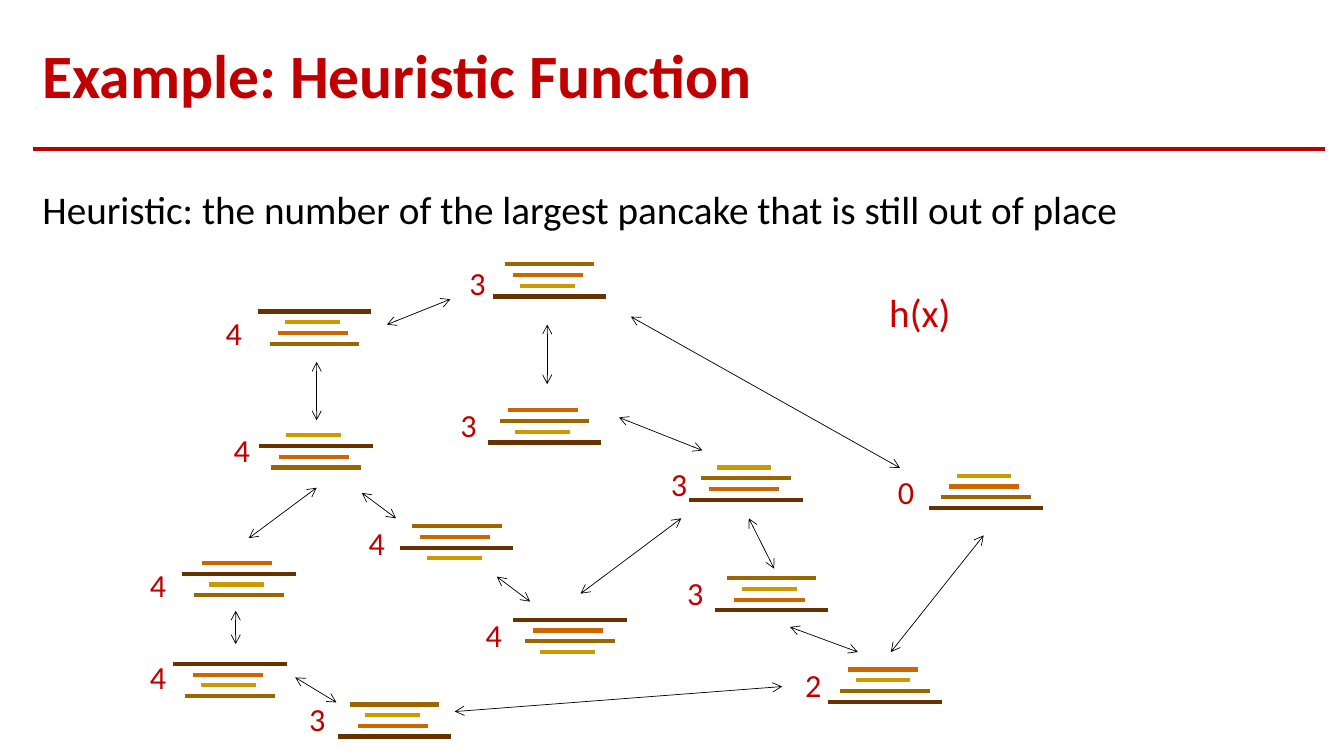
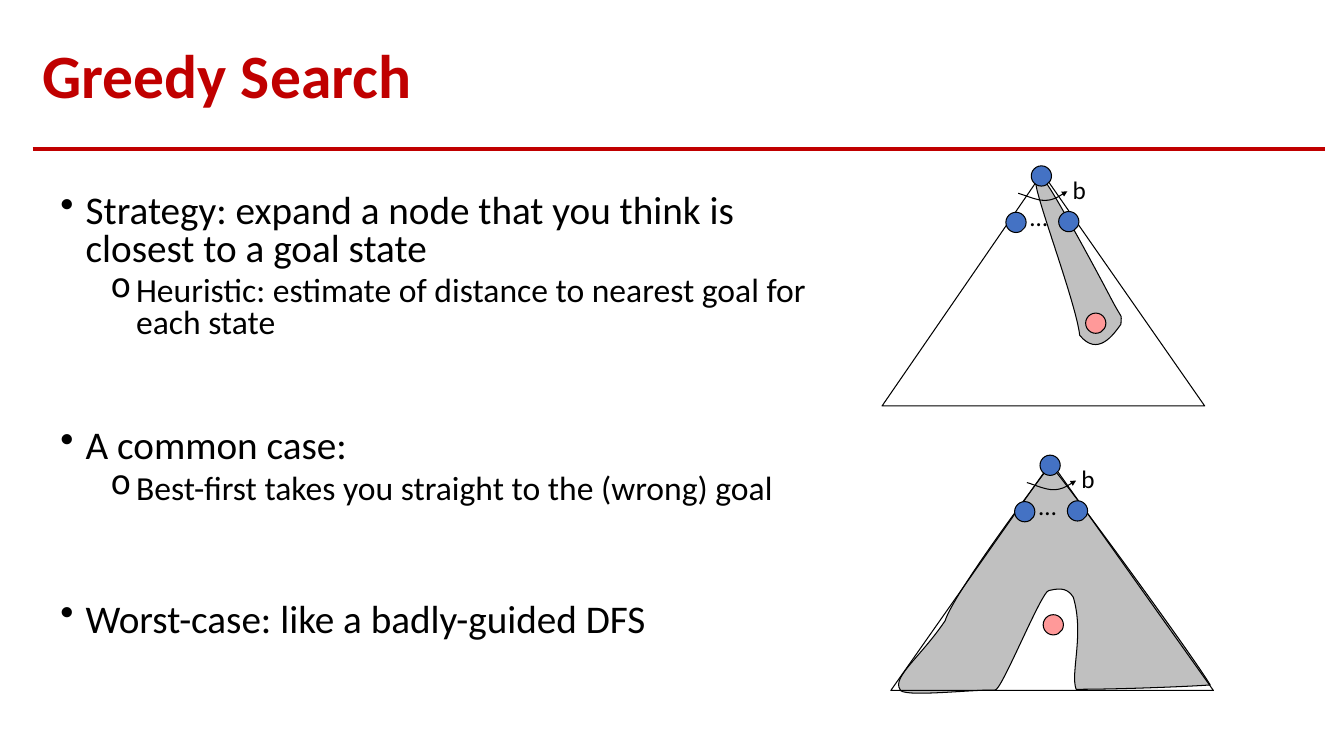
import dataclasses

import lxml.etree
import pptx
import pptx.dml.color
import pptx.enum.shapes
import pptx.enum.text
import pptx.oxml.ns
import pptx.util

FONT = "Calibri"
RED = "C00000"
BLACK = "000000"
GREY = "C0C0C0"
BLUE = "4472C4"
PINK = "FF9999"
LAYER_GAP = 0.27
TREE_WIDTH = 8.13
NODE_SIZE = 0.51

Point = tuple[float, float]


@dataclasses.dataclass(frozen=True)
class Pancake:
    inset: float
    width: float
    color: str


@dataclasses.dataclass(frozen=True)
class Stack:
    left: float
    top: float
    order: str
    heuristic: str
    label: Point


@dataclasses.dataclass(frozen=True)
class Tree:
    left: float
    top: float
    height: float
    goal: Point
    region: list[Point]


@dataclasses.dataclass(frozen=True)
class Bullet:
    text: str
    level: int
    space_before: float


PANCAKES = {
    "1": Pancake(0.69, 1.38, "CC9900"),
    "2": Pancake(0.5, 1.77, "CC6600"),
    "3": Pancake(0.3, 2.26, "996600"),
    "4": Pancake(0, 2.86, "663300"),
}

STACKS = [
    Stack(6.5, 7.85, "4123", "4", (5.44, 7.77)),
    Stack(6.53, 10.97, "1423", "4", (5.64, 10.72)),
    Stack(12.42, 6.66, "3214", "3", (11.58, 6.5)),
    Stack(4.59, 14.19, "2413", "4", (3.53, 14.12)),
    Stack(10.08, 13.26, "3241", "4", (9.04, 13.06)),
    Stack(23.42, 11.99, "1234", "0", (22.38, 11.79)),
    Stack(12.29, 10.34, "2314", "3", (11.35, 10.08)),
    Stack(12.93, 15.62, "4231", "4", (11.99, 15.39)),
    Stack(4.37, 16.73, "4213", "4", (3.53, 16.43)),
    Stack(8.51, 17.75, "3124", "3", (7.54, 17.5)),
    Stack(17.37, 11.78, "1324", "3", (16.66, 11.58)),
    Stack(18.01, 14.57, "3124", "3", (17.07, 14.33)),
    Stack(20.87, 16.87, "2134", "2", (20.04, 16.64)),
]

FLIPS: list[tuple[Point, Point]] = [
    ((11.35, 7.54), (9.75, 8.18)),
    ((7.98, 10.59), (7.98, 9.12)),
    ((6.27, 13.56), (7.98, 12.29)),
    ((9.98, 13.06), (9.12, 12.42)),
    ((5.94, 16.23), (5.94, 15.39)),
    ((8.48, 17.7), (7.44, 17.07)),
    ((19.71, 17.3), (11.46, 17.93)),
    ((13.36, 15.16), (12.52, 14.53)),
    ((17.17, 13.06), (14.63, 14.96)),
    ((15.6, 10.52), (17.7, 11.35)),
    ((13.79, 8.18), (13.79, 9.68)),
    ((22.68, 11.79), (15.9, 7.98)),
    ((18.87, 13.06), (19.51, 14.33)),
    ((19.91, 15.8), (21.62, 16.43)),
    ((22.45, 16.43), (24.79, 13.49)),
]

BRANCH_ARC: list[Point] = [
    (3.43, 0.51), (3.66, 0.58), (3.89, 0.69), (4.09, 0.69),
    (4.32, 0.69), (4.5, 0.56), (4.67, 0.46),
]

TREES = [
    Tree(22.23, 4.36, 5.87, (5.13, 3.53), [
        (4.19, 0.33),
        (4.5, 0.79), (5.49, 2.62), (5.79, 3.2),
        (6.1, 3.78), (6.02, 3.51), (6.02, 3.81),
        (5.84, 4.06), (5.44, 4.65), (4.98, 4.09),
        (4.9, 3.35), (4.01, 0.97), (3.89, 0.36),
        (3.76, -0.28), (3.89, -0.15), (4.19, 0.33),
    ]),
    Tree(22.45, 11.65, 5.75, (3.84, 3.84), [
        (4.17, 0.25),
        (4.88, 1.14), (7.59, 4.85), (8.05, 5.61),
        (7.7, 5.64), (5.89, 5.72), (4.67, 5.72),
        (4.52, 5.31), (4.88, 4.34), (4.6, 3.4),
        (4.47, 3.2), (4.32, 3.15), (3.99, 3.23),
        (3.81, 3.2), (2.77, 5.82), (2.62, 5.74),
        (2.08, 5.72), (0.23, 5.94), (0.23, 5.72),
        (0.03, 5.41), (0.76, 4.9), (1.37, 3.99),
        (1.57, 3.35), (3.4, 0.89), (3.86, 0.28),
        (4.32, -0.33), (4.11, 0.25), (4.17, 0.25),
    ]),
]

BULLETS = [
    Bullet("Strategy: expand a node that you think is closest to a goal state", 0, 10),
    Bullet("Heuristic: estimate of distance to nearest goal for each state", 1, 5),
    Bullet("A common case:", 0, 63),
    Bullet("Best-first takes you straight to the (wrong) goal", 1, 5),
    Bullet("Worst-case: like a badly-guided DFS", 0, 69),
]


def rgb(value: str) -> pptx.dml.color.RGBColor:
    return pptx.dml.color.RGBColor.from_string(value)


def set_line(shape, color: str, width: float) -> None:
    shape.line.color.rgb = rgb(color)
    shape.line.width = pptx.util.Pt(width)


def add_child(parent, tag: str, **attributes: str) -> None:
    lxml.etree.SubElement(parent, pptx.oxml.ns.qn(tag), attributes)


def add_arrowhead(shape, end: str, **attributes: str) -> None:
    outline = shape.element.spPr.find(pptx.oxml.ns.qn("a:ln"))
    add_child(outline, end, **attributes)


def add_line(page, start: Point, end: Point, color: str, width: float, arrows: bool = False) -> None:
    line = page.shapes.add_connector(
        pptx.enum.shapes.MSO_CONNECTOR.STRAIGHT,
        *(pptx.util.Cm(value) for value in (*start, *end)),
    )
    set_line(line, color, width)
    if arrows:
        for tag in ("a:headEnd", "a:tailEnd"):
            add_arrowhead(line, tag, type="arrow")
    add_child(line.element.spPr, "a:effectLst")


def add_frame(page, left: float, top: float, width: float, height: float):
    box = page.shapes.add_textbox(*(pptx.util.Cm(value) for value in (left, top, width, height)))
    box.text_frame.word_wrap = True
    return box.text_frame


def style_paragraph(para, text: str, size: float, color: str = BLACK, bold: bool = False) -> None:
    para.text = text
    para.font.name = FONT
    para.font.size = pptx.util.Pt(size)
    para.font.color.rgb = rgb(color)
    para.font.bold = bold


def add_text(page, text: str, area: tuple[float, float, float, float], size: float,
             color: str = BLACK) -> None:
    style_paragraph(add_frame(page, *area).paragraphs[0], text, size, color)


def add_page(deck, title: str):
    page = deck.slides.add_slide(deck.slide_layouts[6])
    add_line(page, (0.82, 3.75), (33.38, 3.75), RED, 2.5)
    frame = add_frame(page, 0.82, 0.71, 32.56, 2.54)
    frame.vertical_anchor = pptx.enum.text.MSO_ANCHOR.MIDDLE
    para = frame.paragraphs[0]
    style_paragraph(para, title, 44, RED, True)
    para.line_spacing = 0.9
    return page


def add_stack(page, stack: Stack) -> None:
    for layer, size in enumerate(stack.order):
        pancake = PANCAKES[size]
        left = stack.left + pancake.inset
        height = stack.top + layer * LAYER_GAP
        add_line(page, (left, height), (left + pancake.width, height), pancake.color, 3)
    add_text(page, stack.heuristic, (*stack.label, 0.84, 1.24), 23, RED)


def finish_shape(shape, fill: str | None) -> None:
    shape.shadow.inherit = False
    if fill:
        shape.fill.solid()
        shape.fill.fore_color.rgb = rgb(fill)
    else:
        shape.fill.background()
    set_line(shape, BLACK, 0.75)


def add_outline(page, tree: Tree, points: list[Point], fill: str | None = None, closed: bool = True):
    placed = [(pptx.util.Cm(tree.left + x), pptx.util.Cm(tree.top + y)) for x, y in points]
    builder = page.shapes.build_freeform(*placed[0])
    builder.add_line_segments(placed[1:], close=closed)
    shape = builder.convert_to_shape()
    finish_shape(shape, fill)
    return shape


def curve_outline(shape) -> None:
    segments = list(shape.element.spPr.iter(pptx.oxml.ns.qn("a:lnTo")))
    for first in range(0, len(segments), 3):
        curve = lxml.etree.Element(pptx.oxml.ns.qn("a:cubicBezTo"))
        segments[first].addprevious(curve)
        for segment in segments[first:first + 3]:
            curve.append(segment[0])
            segment.getparent().remove(segment)


def add_node(page, tree: Tree, offset: Point, fill: str) -> None:
    area = (tree.left + offset[0], tree.top + offset[1], NODE_SIZE, NODE_SIZE)
    node = page.shapes.add_shape(
        pptx.enum.shapes.MSO_SHAPE.OVAL, *(pptx.util.Cm(value) for value in area)
    )
    finish_shape(node, fill)


def add_tree(page, tree: Tree) -> None:
    curve_outline(add_outline(page, tree, tree.region, GREY))
    add_outline(page, tree, [(0, tree.height), (TREE_WIDTH, tree.height), (4.04, 0)])
    for offset in ((3.12, 0.99), (4.45, 0.97)):
        add_node(page, tree, offset, BLUE)
    add_text(page, "…", (tree.left + 3.48, tree.top + 0.58, 0.76, 1.02), 18)
    arc = add_outline(page, tree, BRANCH_ARC, closed=False)
    curve_outline(arc)
    add_arrowhead(arc, "a:tailEnd", type="triangle", w="sm", len="sm")
    add_text(page, "b", (tree.left + 4.55, tree.top - 0.1, 0.84, 1.02), 18)
    add_node(page, tree, tree.goal, PINK)
    add_node(page, tree, (3.76, -0.18), BLUE)


def add_bullets(page, bullets: list[Bullet]) -> None:
    frame = add_frame(page, 1.27, 4.78, 19.69, 13.54)
    for index, bullet in enumerate(bullets):
        para = frame.add_paragraph() if index else frame.paragraphs[0]
        style_paragraph(para, bullet.text, (28, 24)[bullet.level])
        para.level = bullet.level
        para.line_spacing = 0.8
        para.space_before = pptx.util.Pt(bullet.space_before)
        properties = para._p.get_or_add_pPr()
        properties.set("marL", str(pptx.util.Cm((0.64, 1.91)[bullet.level])))
        properties.set("indent", str(pptx.util.Cm(-0.64)))
        marker = lxml.etree.Element(pptx.oxml.ns.qn("a:buChar"), char="•o"[bullet.level])
        properties.find(pptx.oxml.ns.qn("a:defRPr")).addprevious(marker)


def main() -> None:
    deck = pptx.Presentation()
    deck.slide_width = pptx.util.Cm(33.87)
    deck.slide_height = pptx.util.Cm(19.05)

    page = add_page(deck, "Example: Heuristic Function")
    for stack in STACKS:
        add_stack(page, stack)
    for start, end in FLIPS:
        add_line(page, start, end, BLACK, 0.5, arrows=True)
    add_text(page, "Heuristic: the number of the largest pancake that is still out of place",
             (0.82, 4.55, 30.86, 1.45), 28)
    add_text(page, "h(x)", (22.16, 7.14, 3.18, 1.45), 28, "CC0000")

    page = add_page(deck, "Greedy Search")
    add_bullets(page, BULLETS)
    for tree in TREES:
        add_tree(page, tree)

    deck.save("out.pptx")


if __name__ == "__main__":
    main()
